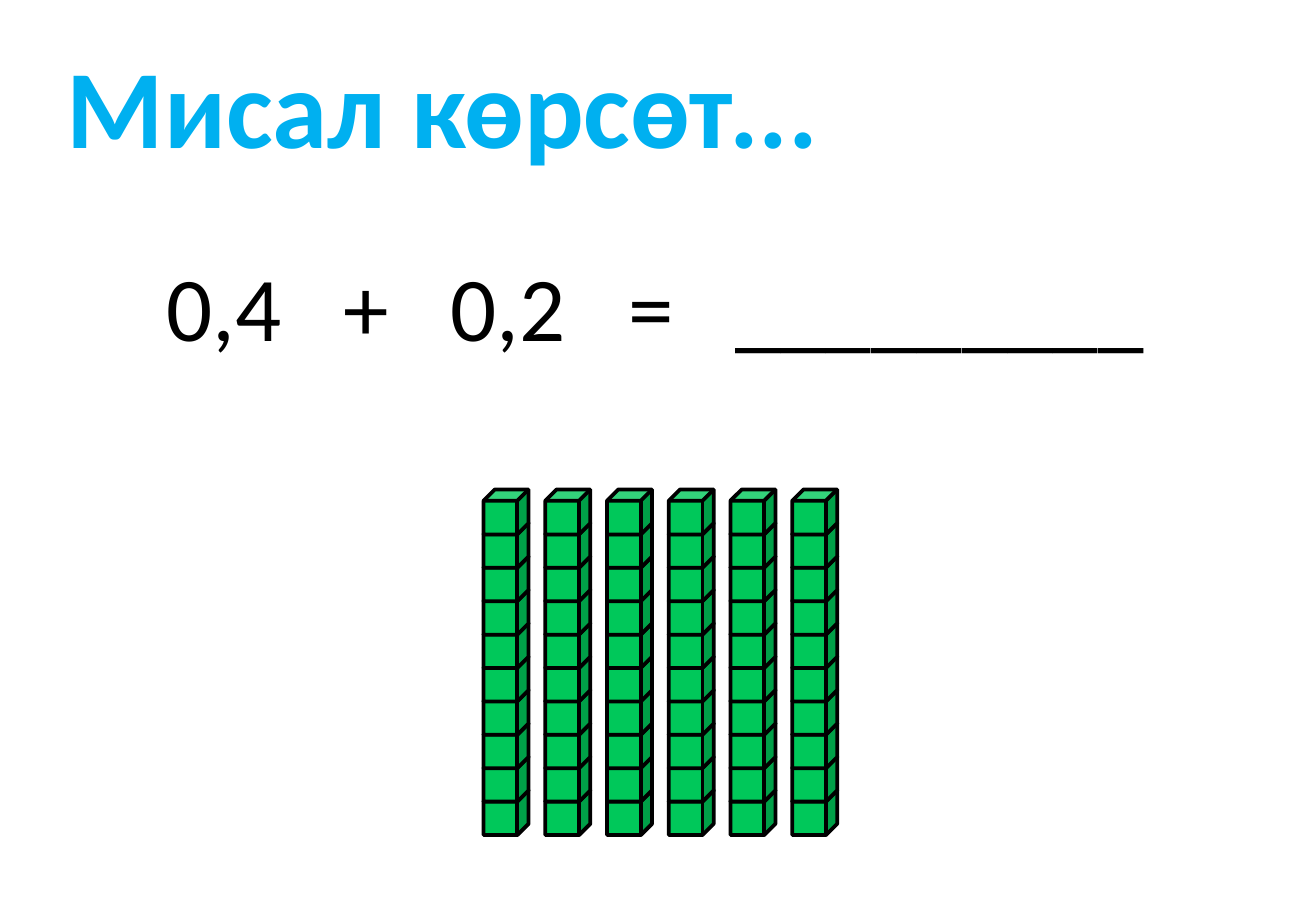
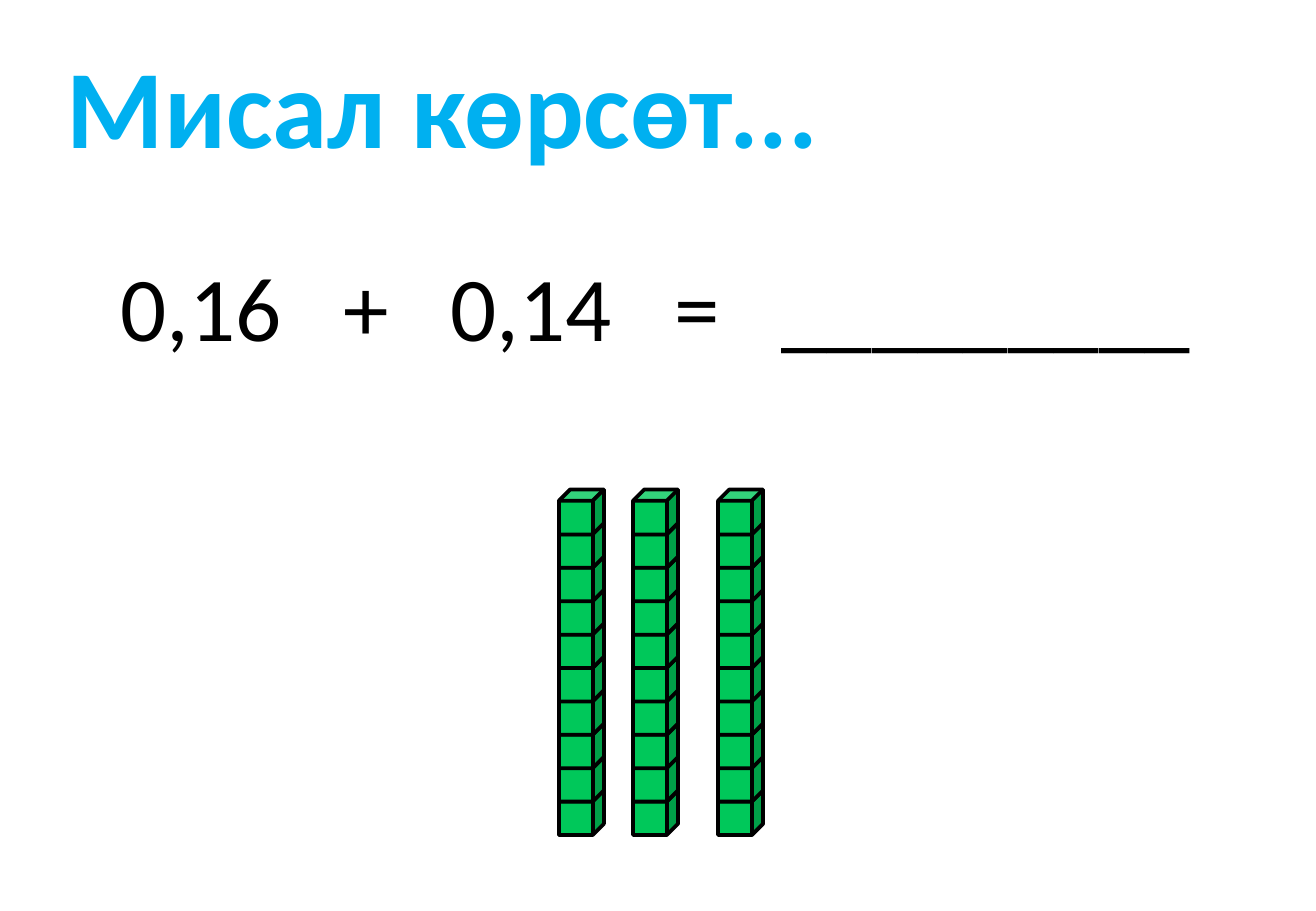
import pptx
import pptx.dml.color
import pptx.enum.shapes
import pptx.enum.text
import pptx.util
from lxml import etree
from pptx.util import Inches

FONT = "Calibri"
BLACK, SKY, GREEN = "000000", "00B0F0", "00C85A"
CUBE_SIZE, CUBE_STEP, CUBES_PER_ROD = 0.37, 0.275, 10
GAP, SIGN_WIDTH = 0.51, 0.37
A_NS = "http://schemas.openxmlformats.org/drawingml/2006/main"


def color(value):
    return pptx.dml.color.RGBColor.from_string(value)


def add_tabs(p, stops):
    tabs = etree.SubElement(p._p.get_or_add_pPr(), f"{{{A_NS}}}tabLst")
    for stop in stops:
        etree.SubElement(tabs, f"{{{A_NS}}}tab", pos=str(Inches(stop)), algn="l")


def add_text(s, text, box, size, fill, bold=False, margin=0.1, stops=()):
    tf = s.shapes.add_textbox(*map(Inches, box)).text_frame
    frame_format = {
        "word_wrap": True,
        "auto_size": pptx.enum.text.MSO_AUTO_SIZE.SHAPE_TO_FIT_TEXT,
        "margin_left": Inches(margin),
    }
    for name, value in frame_format.items():
        setattr(tf, name, value)
    p = tf.paragraphs[0]
    if stops:
        add_tabs(p, stops)
    r = p.add_run()
    r.text = text
    for name, value in {"name": FONT, "size": pptx.util.Pt(size), "bold": bold}.items():
        setattr(r.font, name, value)
    r.font.color.rgb = color(fill)


def add_title(s):
    add_text(s, "Мисал көрсөт...", (0.24, 0.26, 7.54, 1.21), 66, SKY, True, 0.31)


def add_sum(s, terms, box, number_width):
    """Set the parts of the sum on tab stops that follow from their widths."""
    number_step, sign_step = number_width + GAP, SIGN_WIDTH + GAP
    pair = number_step + sign_step
    stops = (number_step, pair, pair + number_step, 2 * pair)
    add_text(s, "\t".join(terms), box, 54, BLACK, margin=0.12, stops=stops)


def add_rod(s, left, top):
    """Stack cubes from the bottom up, so that each covers the one below."""
    rod = s.shapes.add_group_shape()
    for i in reversed(range(CUBES_PER_ROD)):
        cube = rod.shapes.add_shape(
            pptx.enum.shapes.MSO_SHAPE.CUBE,
            Inches(left), Inches(top + i * CUBE_STEP),
            Inches(CUBE_SIZE), Inches(CUBE_SIZE))
        cube.shadow.inherit = False
        cube.fill.solid()
        cube.fill.fore_color.rgb = color(GREEN)
        cube.line.color.rgb = color(BLACK)
        cube.line.width = pptx.util.Pt(2.25)


def add_sum_slide(prs, terms, box, number_width, rod_lefts):
    s = prs.slides.add_slide(prs.slide_layouts[6])
    add_sum(s, terms, box, number_width)
    for left in rod_lefts:
        add_rod(s, left, 4.03)
    add_title(s)


def main():
    prs = pptx.Presentation()
    prs.slide_width, prs.slide_height = Inches(10.83), Inches(7.5)
    blank = "_" * 9
    add_sum_slide(prs, ("0,4", "+", "0,2", "=", blank), (1.25, 2.01, 8.33, 1.01),
                  0.95, [3.98 + 0.508 * i for i in range(6)])
    add_sum_slide(prs, ("0,16", "+", "0,14", "=", blank), (0.87, 2.01, 9.1, 1.01),
                  1.33, (4.6, 5.21, 5.91))
    prs.save("out.pptx")


if __name__ == "__main__":
    main()
